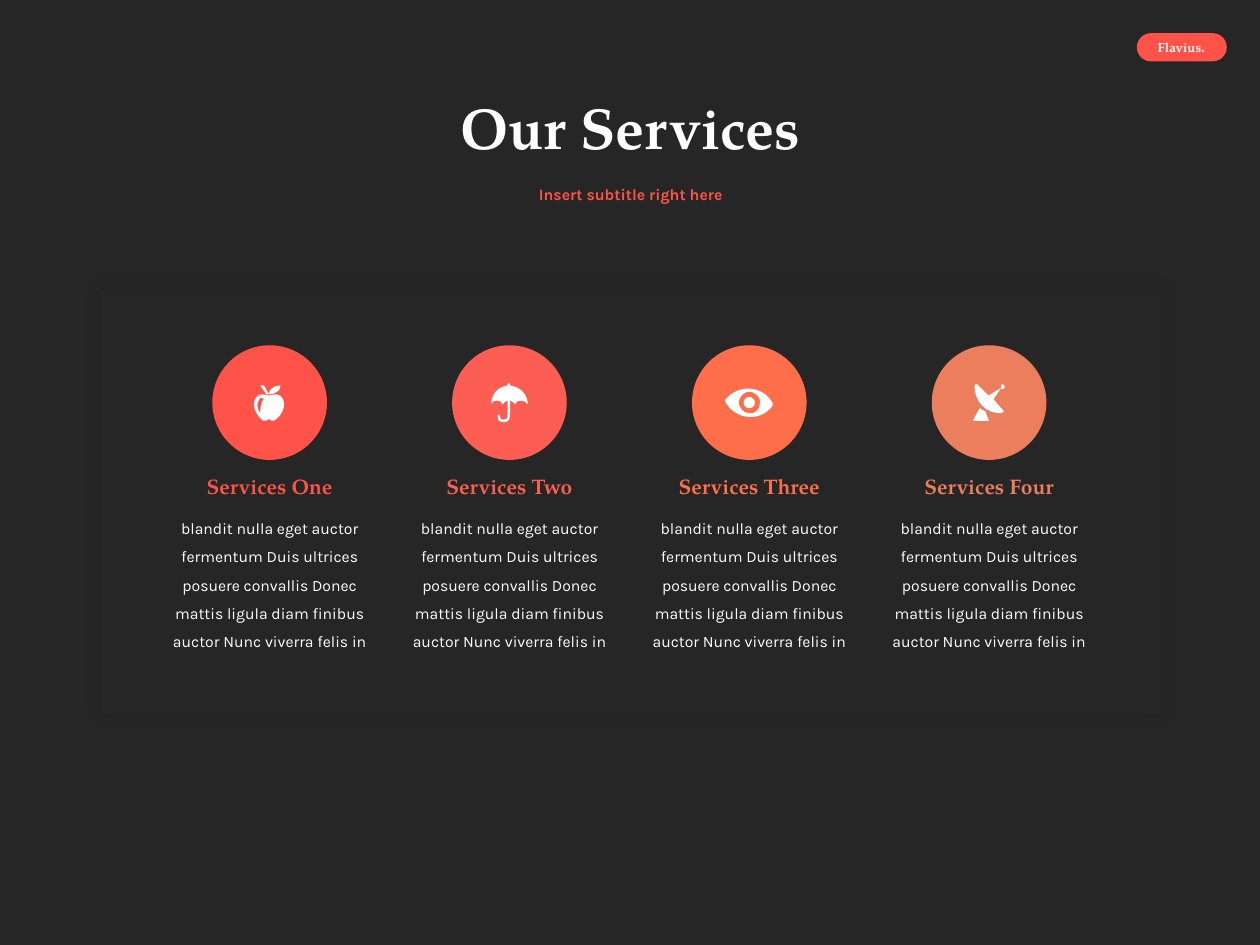
import pptx
import pptx.util
import pptx.dml.color
import pptx.enum.shapes
import pptx.enum.text
import pptx.oxml.ns
import lxml.etree

Inches = pptx.util.Inches
SHAPES = pptx.enum.shapes.MSO_SHAPE
qn = pptx.oxml.ns.qn

COLORS = {
    "background": "262626", "white": "FFFFFF", "shadow": "000000",
    "red": "FF5349", "coral": "FD5E53", "orange": "FF6E4A", "clay": "EA7E5D",
}
SERIF, SANS = "TeX Gyre Pagella", "Karla"

DESCRIPTION = ("blandit nulla eget auctor fermentum Duis ultrices posuere convallis "
               "Donec mattis ligula diam finibus auctor Nunc viverra felis in")

# Icon units are hundredths of an inch from the circle's top left corner.
# A part is a box (left, top, width, height) and its contours; no contours means an oval.
# A contour is a start point, then lines (x, y) or curves (x1, y1, x2, y2, x, y).
APPLE = [
    ((33, 37, 25, 23), [
        [(45, 40), (36, 37, 33, 42, 33, 47), (33, 53, 39, 60, 41, 60), (45, 60, 45, 58, 45, 58),
         (45, 58, 45, 60, 48, 60), (51, 60, 57, 53, 57, 47), (57, 42, 54, 37, 45, 40)],
        [(38, 54), (33, 47, 38, 42, 38, 42), (41, 42), (41, 42, 38, 46, 38, 54)]]),
    ((38, 32, 7, 7), [[(45, 39), (43, 35, 41, 32, 41, 32), (38, 32), (43, 39)]]),
    ((45, 32, 9, 7), [[(54, 32), (54, 32, 45, 32, 45, 39), (45, 39, 54, 39, 54, 32)]]),
]
UMBRELLA = [
    ((31, 30, 29, 31), [
        [(46, 32), (46, 31), (46, 31, 46, 30, 45, 30), (45, 30, 44, 31, 44, 31), (44, 32),
         (36, 33, 31, 39, 31, 47), (31, 45, 33, 44, 35, 44), (38, 44, 40, 45, 40, 47),
         (41, 46, 42, 44, 44, 44), (44, 54), (44, 59, 43, 59, 41, 59), (38, 59, 38, 58, 38, 56),
         (38, 56, 38, 55, 37, 55), (37, 55, 36, 56, 36, 56), (36, 58, 36, 61, 41, 61),
         (44, 61, 46, 60, 46, 54), (46, 44), (48, 44, 49, 46, 50, 47), (50, 45, 52, 44, 55, 44),
         (57, 44, 59, 45, 60, 47), (60, 39, 54, 33, 46, 32)]]),
]
EYE = [
    ((26, 30, 38, 31), [
        [(26, 44), (34, 60, 55, 61, 64, 48), (64, 46), (57, 32, 36, 30, 26, 44)],
        [(45, 54), (41, 54, 37, 49, 37, 45), (38, 40, 42, 36, 47, 37),
         (51, 38, 55, 42, 54, 46), (54, 51, 50, 55, 45, 54)]]),
    ((41, 41, 9, 9), []),
]
DISH = [
    ((34, 31, 24, 23), [
        [(56, 35), (57, 35, 58, 34, 58, 33), (58, 32, 57, 31, 56, 31), (55, 31, 55, 32, 55, 33),
         (55, 33, 55, 34, 55, 34), (45, 40), (37, 32), (37, 31, 36, 31, 35, 31),
         (34, 31, 34, 32, 34, 33), (34, 38, 36, 44, 40, 48), (44, 52, 49, 54, 55, 54),
         (56, 54, 56, 53, 57, 53), (57, 52, 57, 51, 56, 51), (49, 43), (55, 34),
         (55, 35, 56, 35, 56, 35)]]),
    ((33, 50, 12, 10), [
        [(43, 54), (43, 53), (41, 52, 40, 51, 38, 50), (33, 59), (33, 60), (45, 60), (45, 59)]]),
]

SERVICES = [
    ("Services One", "red", APPLE),
    ("Services Two", "coral", UMBRELLA),
    ("Services Three", "orange", EYE),
    ("Services Four", "clay", DISH),
]
FIRST_CENTER, LAST_CENTER = 2.14, 7.85
COLUMN_STEP = (LAST_CENTER - FIRST_CENTER) / (len(SERVICES) - 1)
CIRCLE_TOP, CIRCLE_SIZE = 2.74, 0.91
HEADING_WIDTH, DESCRIPTION_WIDTH = 1.46, 1.76


def rgb(name):
    return pptx.dml.color.RGBColor.from_string(COLORS[name])


def paint(shape, color):
    shape.shadow.inherit = False
    shape.fill.solid()
    shape.fill.fore_color.rgb = rgb(color)
    shape.line.fill.background()
    return shape


def add_preset(shapes, preset, left, top, width, height, color):
    return paint(shapes.add_shape(
        preset, Inches(left), Inches(top), Inches(width), Inches(height)), color)


def add_text(text, left, top, width, height, size, font, color,
             bold=True, spacing=None, middle=False):
    box = slide.shapes.add_textbox(Inches(left), Inches(top), Inches(width), Inches(height))
    frame = box.text_frame
    frame.word_wrap = True
    if middle:
        frame.vertical_anchor = pptx.enum.text.MSO_ANCHOR.MIDDLE
    else:
        frame.auto_size = pptx.enum.text.MSO_AUTO_SIZE.SHAPE_TO_FIT_TEXT
    paragraph = frame.paragraphs[0]
    paragraph.text = text
    paragraph.alignment = pptx.enum.text.PP_ALIGN.CENTER
    paragraph.line_spacing = spacing
    paragraph.font.size = pptx.util.Pt(size)
    paragraph.font.name = font
    paragraph.font.bold = bold
    paragraph.font.color.rgb = rgb(color)


def add_outline(shapes, left, top, width, height, contours):
    x, y, right, bottom = (Inches(v) for v in (left, top, left + width, top + height))
    builder = shapes.build_freeform(x, y)
    builder.add_line_segments([(right, y), (right, bottom), (x, bottom)])
    outline = paint(builder.convert_to_shape(), "white")
    curve = next(outline._element.iter(qn("a:path")))
    for segment in list(curve):
        curve.remove(segment)
    for contour in contours:
        for index, numbers in enumerate(contour):
            tag = "a:moveTo" if index == 0 else "a:lnTo" if len(numbers) == 2 else "a:cubicBezTo"
            segment = lxml.etree.SubElement(curve, qn(tag))
            for px, py in zip(numbers[::2], numbers[1::2]):
                lxml.etree.SubElement(segment, qn("a:pt"), x=str(Inches(px / 100)),
                                      y=str(Inches(py / 100)))
        lxml.etree.SubElement(curve, qn("a:close"))


def add_icon(parts, left, top):
    shapes = slide.shapes if len(parts) == 1 else slide.shapes.add_group_shape().shapes
    for (x, y, width, height), contours in parts:
        place = (left + x / 100, top + y / 100, width / 100, height / 100)
        if contours:
            local = [[tuple(n - (x, y)[i % 2] for i, n in enumerate(numbers))
                      for numbers in contour] for contour in contours]
            add_outline(shapes, *place, local)
        else:
            add_preset(shapes, SHAPES.OVAL, *place, "white")


def add_glow(shape, blur, opacity):
    effects = shape._element.spPr.find(qn("a:effectLst"))
    shadow = lxml.etree.SubElement(effects, qn("a:outerShdw"), algn="ctr", rotWithShape="0",
                                   blurRad=str(pptx.util.Pt(blur)), dist="0", dir="0")
    tint = lxml.etree.SubElement(shadow, qn("a:srgbClr"), val=COLORS["shadow"])
    lxml.etree.SubElement(tint, qn("a:alpha"), val=str(opacity * 1000))


deck = pptx.Presentation()
deck.slide_width, deck.slide_height = Inches(10), Inches(7.5)
slide = deck.slides.add_slide(deck.slide_layouts[6])
slide.background.fill.solid()
slide.background.fill.fore_color.rgb = rgb("background")

badge = add_preset(slide.shapes, SHAPES.ROUNDED_RECTANGLE, 9.03, 0.27, 0.7, 0.21, "red")
badge.adjustments[0] = 0.5
badge.line.color.rgb = rgb("red")
badge.line.width = pptx.util.Pt(1)
add_text("Flavius.", 9.06, 0.26, 0.63, 0.23, 7.5, SERIF, "white")

add_text("Our Services", 2.19, 0.52, 5.63, 1.03, 33, SERIF, "white", spacing=0.9, middle=True)
add_text("Insert subtitle right here", 2.19, 1.36, 5.63, 0.38, 9, SANS, "red",
         spacing=0.9, middle=True)

panel = add_preset(slide.shapes, SHAPES.RECTANGLE, 0.8, 2.3, 8.41, 3.36, "background")
add_glow(panel, blur=9, opacity=9)

icons = []
for column, (heading, color, icon) in enumerate(SERVICES):
    center = FIRST_CENTER + column * COLUMN_STEP
    circle_left = center - CIRCLE_SIZE / 2
    add_preset(slide.shapes, SHAPES.OVAL, circle_left, CIRCLE_TOP, CIRCLE_SIZE, CIRCLE_SIZE, color)
    add_text(DESCRIPTION, center - DESCRIPTION_WIDTH / 2, 3.99, DESCRIPTION_WIDTH, 1.21,
             9, SANS, "white", bold=False, spacing=1.5)
    add_text(heading, center - HEADING_WIDTH / 2, 3.71, HEADING_WIDTH, 0.3, 12, SERIF, color)
    icons.append((icon, circle_left))

for icon, circle_left in icons[2:] + icons[:2]:
    add_icon(icon, circle_left, CIRCLE_TOP)

deck.save("out.pptx")
